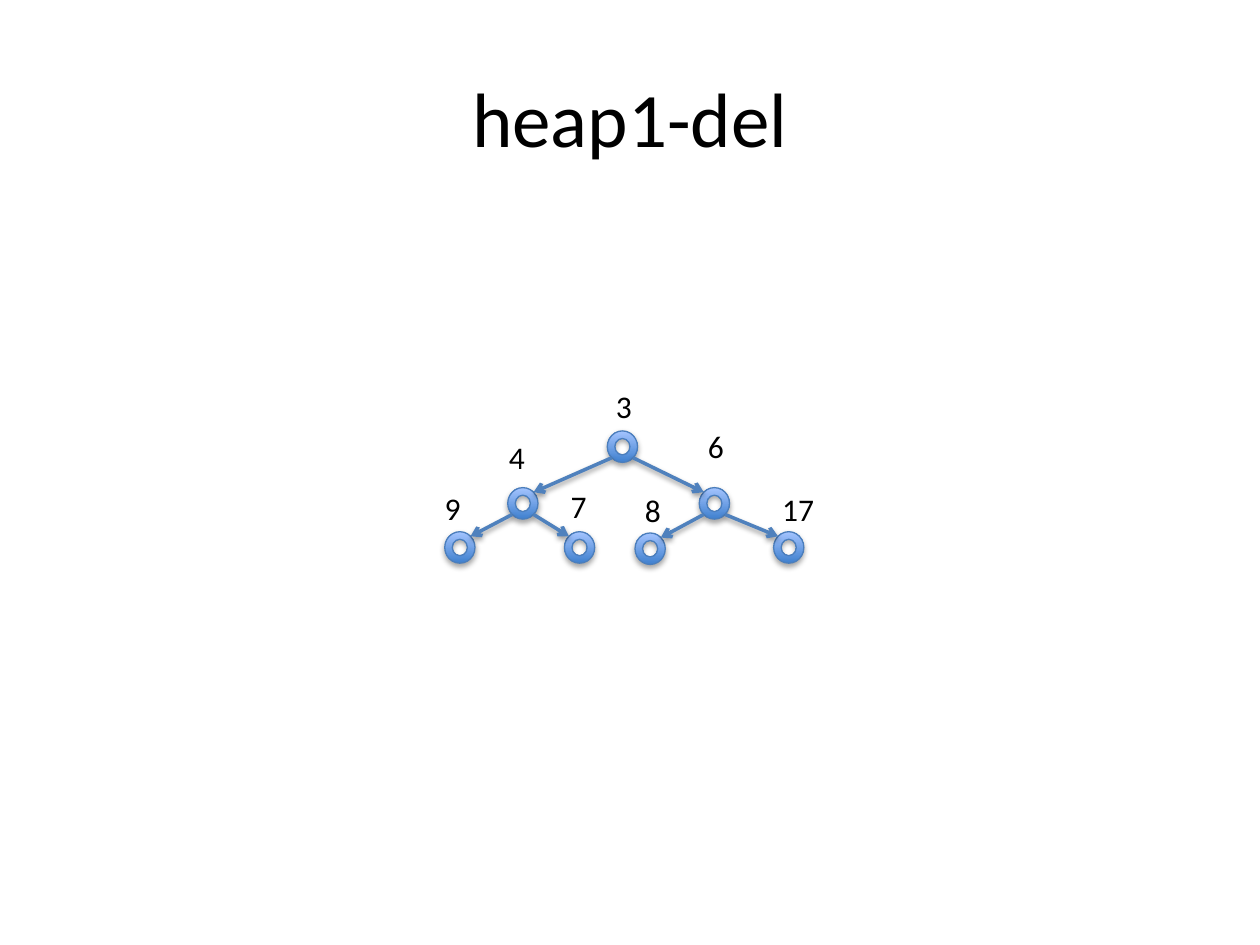
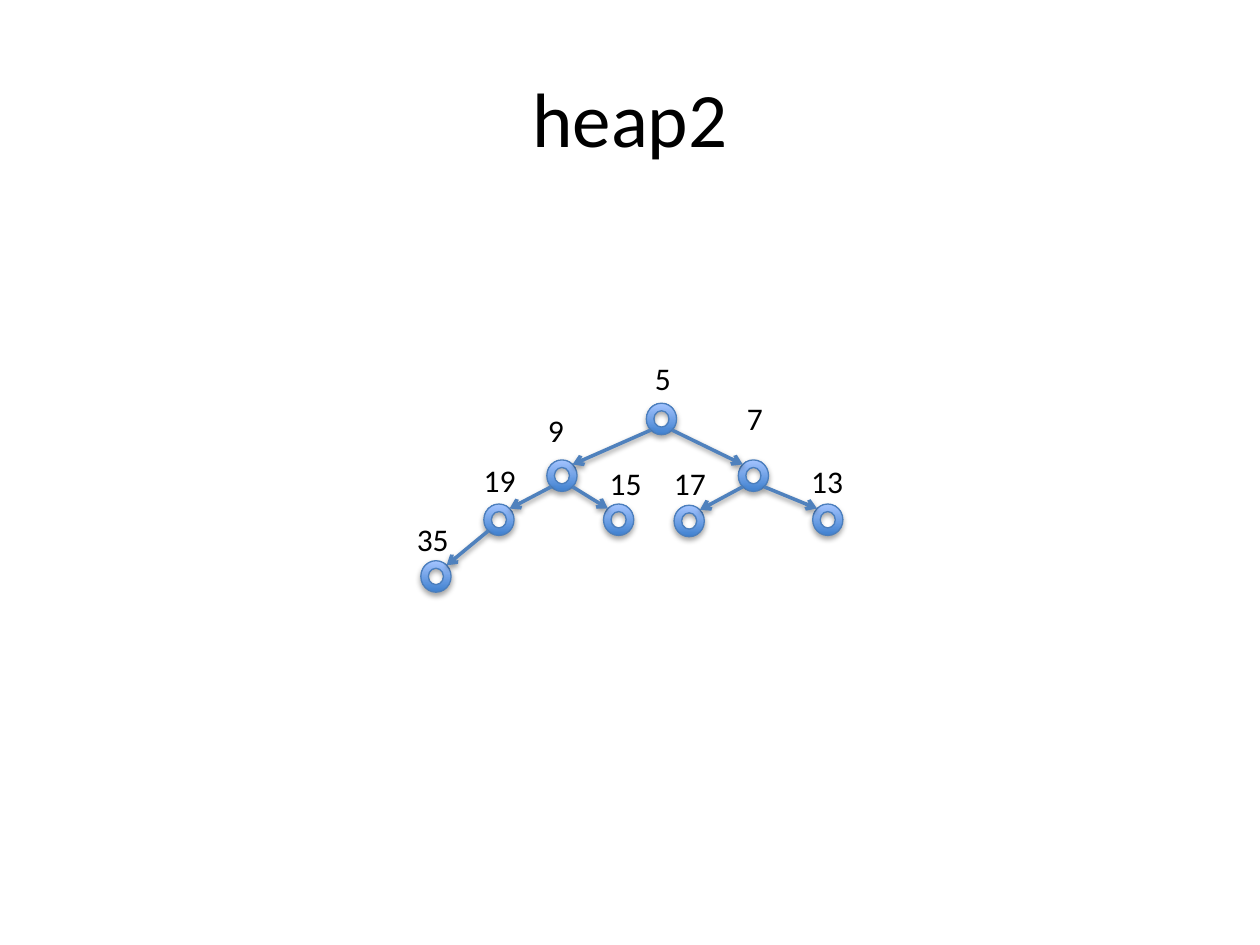
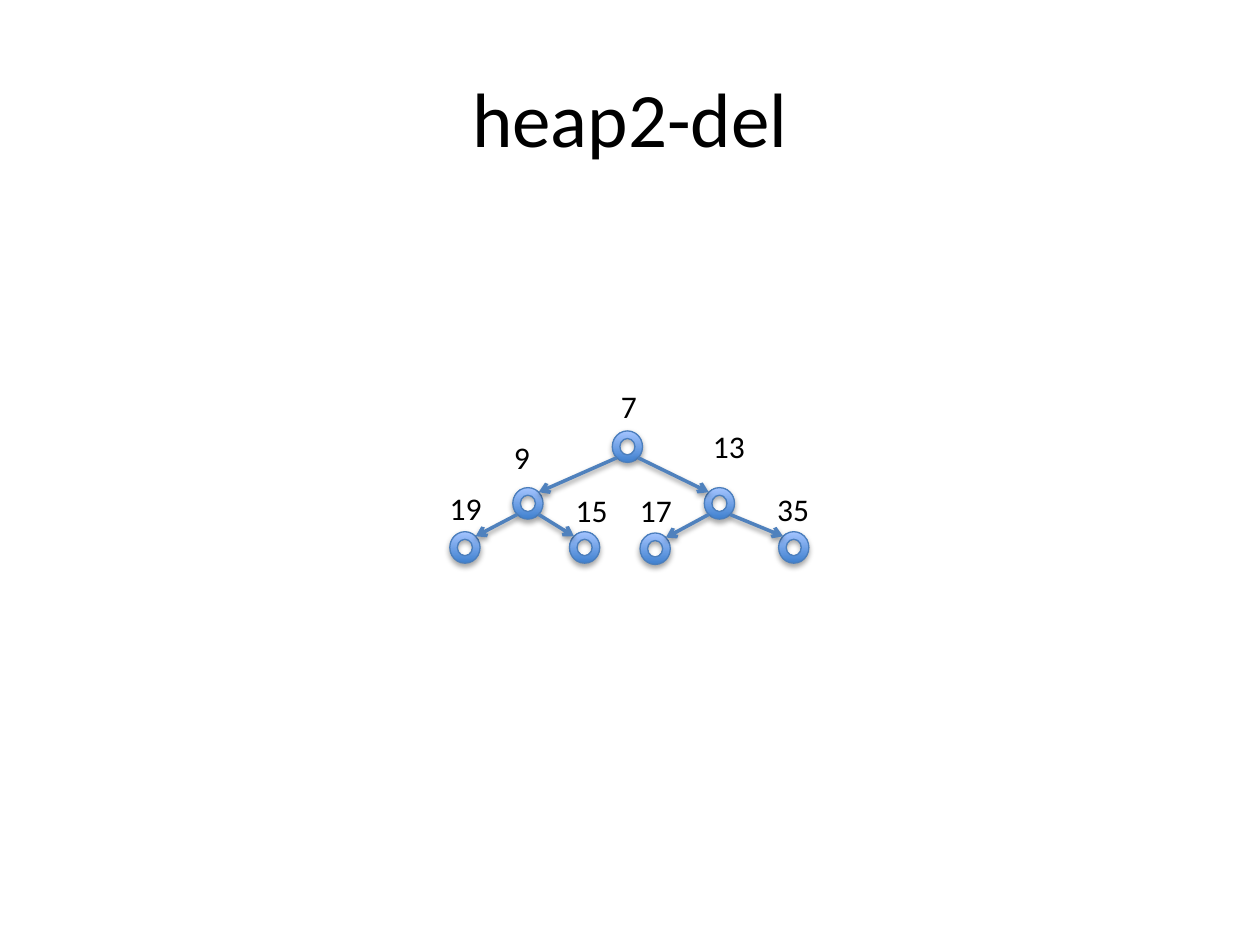
from lxml import etree
from pptx import Presentation
from pptx import util as u
from pptx.dml.color import RGBColor
from pptx.enum import shapes, text
from pptx.oxml import ns

BLACK = RGBColor(0x00, 0x00, 0x00)
DEEP = RGBColor(0x3F, 0x80, 0xCE)
PALE = RGBColor(0xA4, 0xC4, 0xFF)
RIM = RGBColor(0x4B, 0x7E, 0xBC)
EDGE = RGBColor(0x4F, 0x81, 0xBD)

# Shared formats
HEAD = {"name": "Calibri", "size": u.Pt(44)}
KEY = {"name": "Calibri", "size": u.Pt(18)}
MID = {"word_wrap": True, "vertical_anchor": text.MSO_ANCHOR.MIDDLE}
FIT = {"word_wrap": False, "auto_size": text.MSO_AUTO_SIZE.SHAPE_TO_FIT_TEXT}

# Node size, and the reach from its centre to the 45 degree points on its rim
WIDE, HIGH = 0.24, 0.25
REACH_X, REACH_Y = WIDE * 0.5 ** 1.5, HIGH * 0.5 ** 1.5

# Places in heap order, measured from the root's top left corner
NODES = [(0, 0), (-0.79, 0.45), (0.73, 0.45), (-1.29, 0.8),
         (-0.34, 0.8), (0.22, 0.81), (1.32, 0.8), (-1.79, 1.25)]
LABELS = [(-0.03, -0.4), (-0.88, 0.01), (0.7, -0.08), (-1.39, 0.41),
          (-0.39, 0.43), (0.12, 0.43), (1.21, 0.42), (-1.92, 0.88)]

# Title, root, keys in heap order, label shifts by index
HEAPS = [
    ("heap1-del", (4.82, 3.42), [3, 4, 6, 9, 7, 8, 17],
     {4: (0, -0.03), 5: (0.08, 0), 6: (0.08, 0)}),
    ("heap2", (5.13, 3.2), [5, 9, 7, 19, 15, 17, 13, 35], {}),
    ("heap2-del", (4.86, 3.42), [7, 9, 13, 19, 15, 17, 35], {}),
]


def write(box, words, frame, font):
    """Fill a text box and apply its frame and font formats."""
    tf = box.text_frame
    tf.text = words
    for name, val in frame.items():
        setattr(tf, name, val)
    run = tf.paragraphs[0].runs[0]
    for name, val in font.items():
        setattr(run.font, name, val)
    run.font.color.rgb = BLACK


def shade(shape, dist, alpha):
    """Give a shape or connector a soft shadow straight below it."""
    props = shape._element.spPr
    for old in props.findall(ns.qn("a:effectLst")):
        props.remove(old)
    fx = etree.SubElement(props, ns.qn("a:effectLst"))
    drop = etree.SubElement(fx, ns.qn("a:outerShdw"), blurRad=str(u.Pt(3.1)),
                            dist=str(u.Pt(dist)), dir="5400000", rotWithShape="0")
    tone = etree.SubElement(drop, ns.qn("a:srgbClr"), val=str(BLACK))
    etree.SubElement(tone, ns.qn("a:alpha"), val=str(alpha * 1000))


prs = Presentation()
prs.slide_width, prs.slide_height = u.Inches(10), u.Inches(7.5)

for title, (left, top), keys, shifts in HEAPS:
    slide = prs.slides.add_slide(prs.slide_layouts[6])
    tree = slide.shapes.add_group_shape().shapes
    spots = [(left + x, top + y) for x, y in NODES[:len(keys)]]
    mids = [(x + WIDE / 2, y + HIGH / 2) for x, y in spots]

    # Nodes
    for x, y in spots:
        node = tree.add_shape(shapes.MSO_SHAPE.DONUT, u.Inches(x), u.Inches(y),
                              u.Inches(WIDE), u.Inches(HIGH))
        node.fill.gradient()
        node.fill.gradient_angle = 90
        for stop, tone in zip(node.fill.gradient_stops, (DEEP, PALE)):
            stop.color.rgb = tone
        node.line.color.rgb = RIM
        node.line.width = u.Pt(0.75)
        shade(node, 1.8, 35)

    # Arrows from each parent to its child: odd indices are left children
    for i in range(1, len(keys)):
        side = -1 if i % 2 else 1
        (px, py), (cx, cy) = mids[(i - 1) // 2], mids[i]
        arrow = tree.add_connector(
            shapes.MSO_CONNECTOR.STRAIGHT,
            u.Inches(px + side * REACH_X), u.Inches(py + REACH_Y),
            u.Inches(cx - side * REACH_X), u.Inches(cy - REACH_Y))
        arrow.line.color.rgb = EDGE
        arrow.line.width = u.Pt(2)
        etree.SubElement(arrow.line._get_or_add_ln(), ns.qn("a:tailEnd"), type="arrow")
        shade(arrow, 1.6, 38)

    # Keys
    for i, key in enumerate(keys):
        x, y = LABELS[i]
        dx, dy = shifts.get(i, (0, 0))
        label = tree.add_textbox(u.Inches(left + x + dx), u.Inches(top + y + dy),
                                 u.Inches(0.33 if key < 10 else 0.46), u.Inches(0.4))
        write(label, str(key), FIT, KEY)

    # Title
    head = slide.shapes.add_textbox(u.Inches(0.5), u.Inches(0.3),
                                    u.Inches(9), u.Inches(1.25))
    write(head, title, MID, HEAD)
    head.text_frame.paragraphs[0].alignment = text.PP_ALIGN.CENTER

prs.save("out.pptx")
